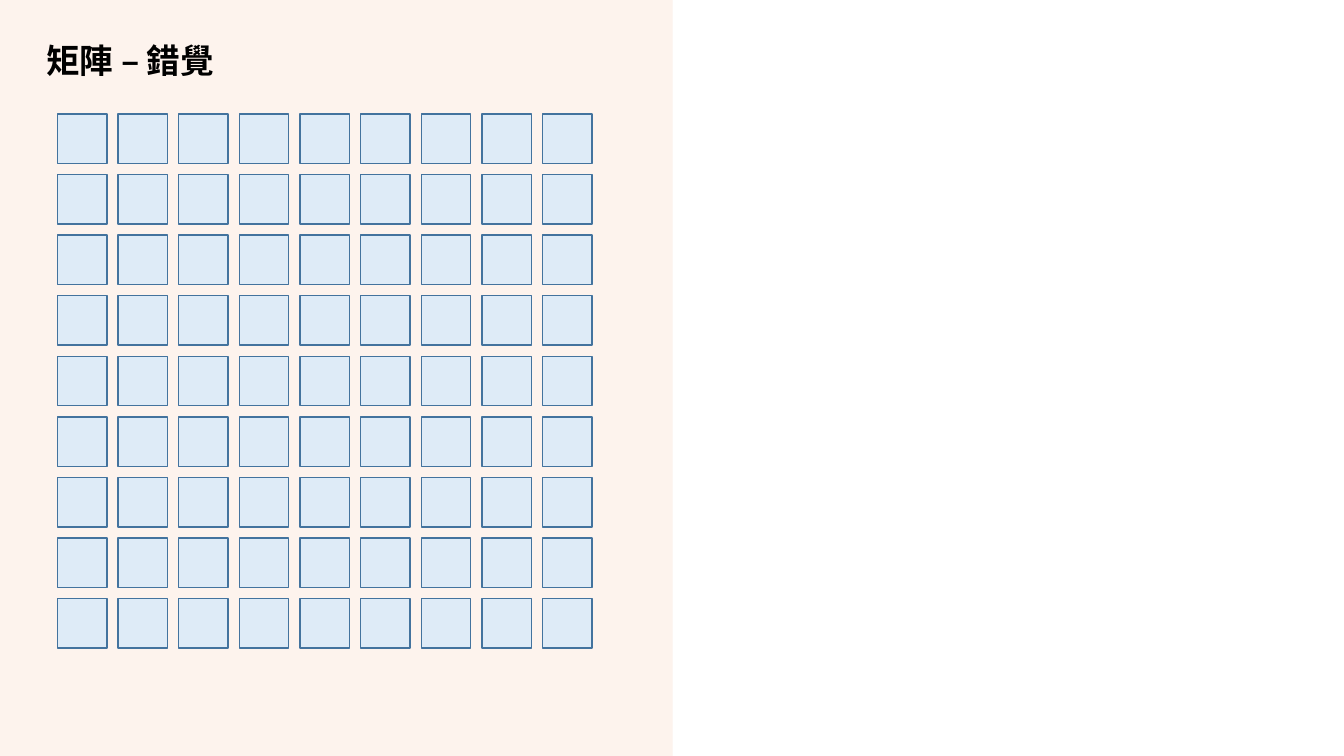
"""Build the matrix illusion slide: a tinted left panel with a nine by nine grid of squares."""
import dataclasses

import pptx
import pptx.dml.color
import pptx.enum.shapes
import pptx.enum.text
import pptx.oxml.ns
import pptx.util
from lxml import etree

Inches = pptx.util.Inches
Pt = pptx.util.Pt
RGB = pptx.dml.color.RGBColor.from_string
RECTANGLE = pptx.enum.shapes.MSO_SHAPE.RECTANGLE
qn = pptx.oxml.ns.qn


@dataclasses.dataclass(frozen=True)
class Theme:
    font: str = "Noto Sans CJK SC"
    title_size: int = 24
    title_color: str = "000000"
    panel: str = "F4B183"
    panel_opacity: int = 14
    divider: str = "FBE5D6"
    divider_opacity: int = 50
    cell: str = "DEEBF7"
    cell_border: str = "43739E"


theme = Theme()


def add_text(slide, text, *, left, top, width, height, size, color, bold=False, line_spacing=1.0):
    box = slide.shapes.add_textbox(Inches(left), Inches(top), Inches(width), Inches(height))
    frame = box.text_frame
    frame.word_wrap = False
    frame.vertical_anchor = pptx.enum.text.MSO_ANCHOR.MIDDLE
    paragraph = frame.paragraphs[0]
    paragraph.alignment = pptx.enum.text.PP_ALIGN.LEFT
    paragraph.line_spacing = line_spacing
    run = paragraph.add_run()
    run.text = text
    run.font.name = theme.font
    run.font.size = Pt(size)
    run.font.bold = bold
    run.font.color.rgb = RGB(color)
    etree.SubElement(run.font._element, qn("a:ea"), typeface=theme.font)


def set_opacity(shape, percent):
    for color in shape.element.spPr.iter(qn("a:srgbClr")):
        etree.SubElement(color, qn("a:alpha"), val=str(percent * 1000))


presentation = pptx.Presentation()
presentation.slide_width = Inches(13.33)
presentation.slide_height = Inches(7.5)
slide = presentation.slides.add_slide(presentation.slide_layouts[6])

panel_width = 6.67
panel = slide.shapes.add_shape(RECTANGLE, 0, 0, Inches(panel_width), presentation.slide_height)
panel.shadow.inherit = False
panel.fill.solid()
panel.fill.fore_color.rgb = RGB(theme.panel)
panel.line.fill.background()
set_opacity(panel, theme.panel_opacity)

divider = slide.shapes.add_connector(
    pptx.enum.shapes.MSO_CONNECTOR.STRAIGHT,
    Inches(panel_width), presentation.slide_height, Inches(panel_width), 0)
divider.line.color.rgb = RGB(theme.divider)
divider.line.width = Pt(0.25)
set_opacity(divider, theme.divider_opacity)
etree.SubElement(divider.element.spPr, qn("a:effectLst"))

add_text(slide, "矩陣 – 錯覺", left=0.36, top=0.4, width=5.95, height=0.44,
         size=theme.title_size, color=theme.title_color, bold=True, line_spacing=0.9)

cells_per_side = 9
matrix_left, matrix_top = 0.57, 1.13
cell_side = 0.49
pitch = 4.81 / (cells_per_side - 1)

matrix = slide.shapes.add_group_shape()
for row in range(cells_per_side):
    for column in range(cells_per_side):
        cell = matrix.shapes.add_shape(
            RECTANGLE,
            Inches(matrix_left + column * pitch), Inches(matrix_top + row * pitch),
            Inches(cell_side), Inches(cell_side))
        cell.shadow.inherit = False
        cell.fill.solid()
        cell.fill.fore_color.rgb = RGB(theme.cell)
        cell.line.color.rgb = RGB(theme.cell_border)
        cell.line.width = Pt(1)

presentation.save("out.pptx")
